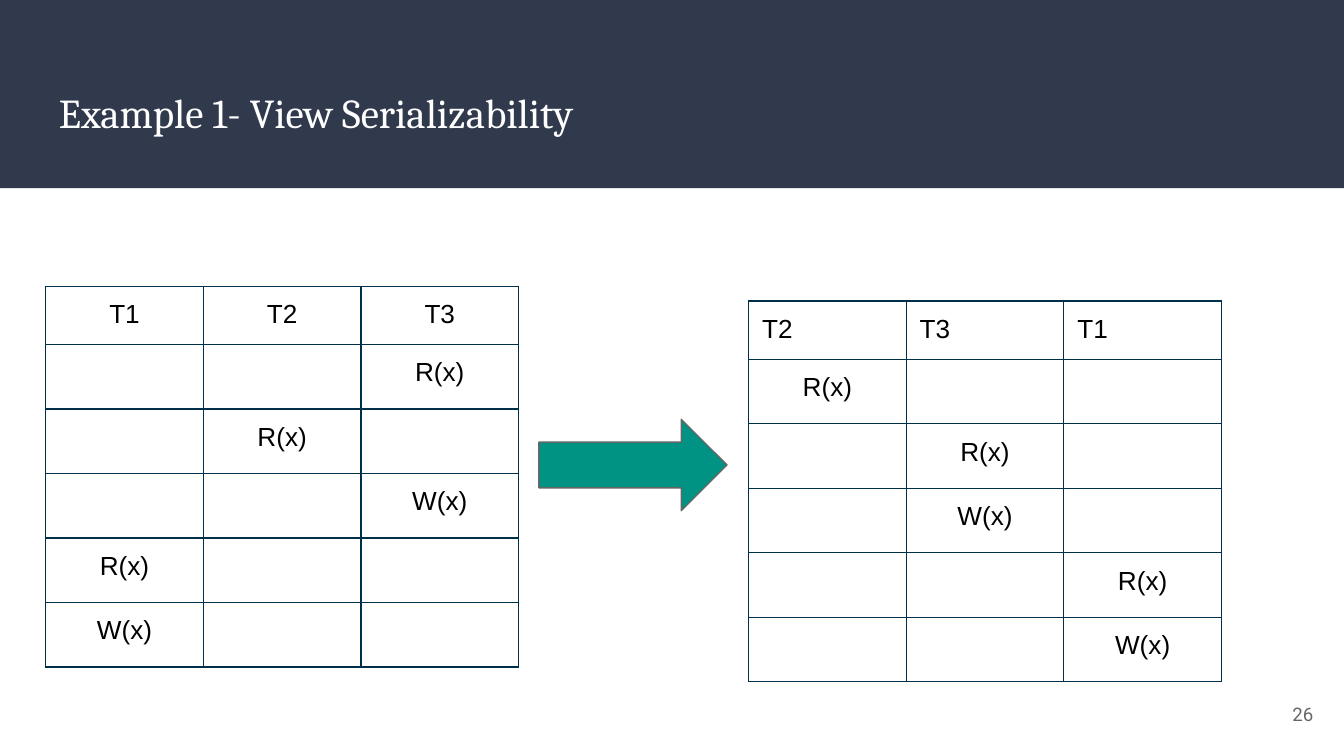
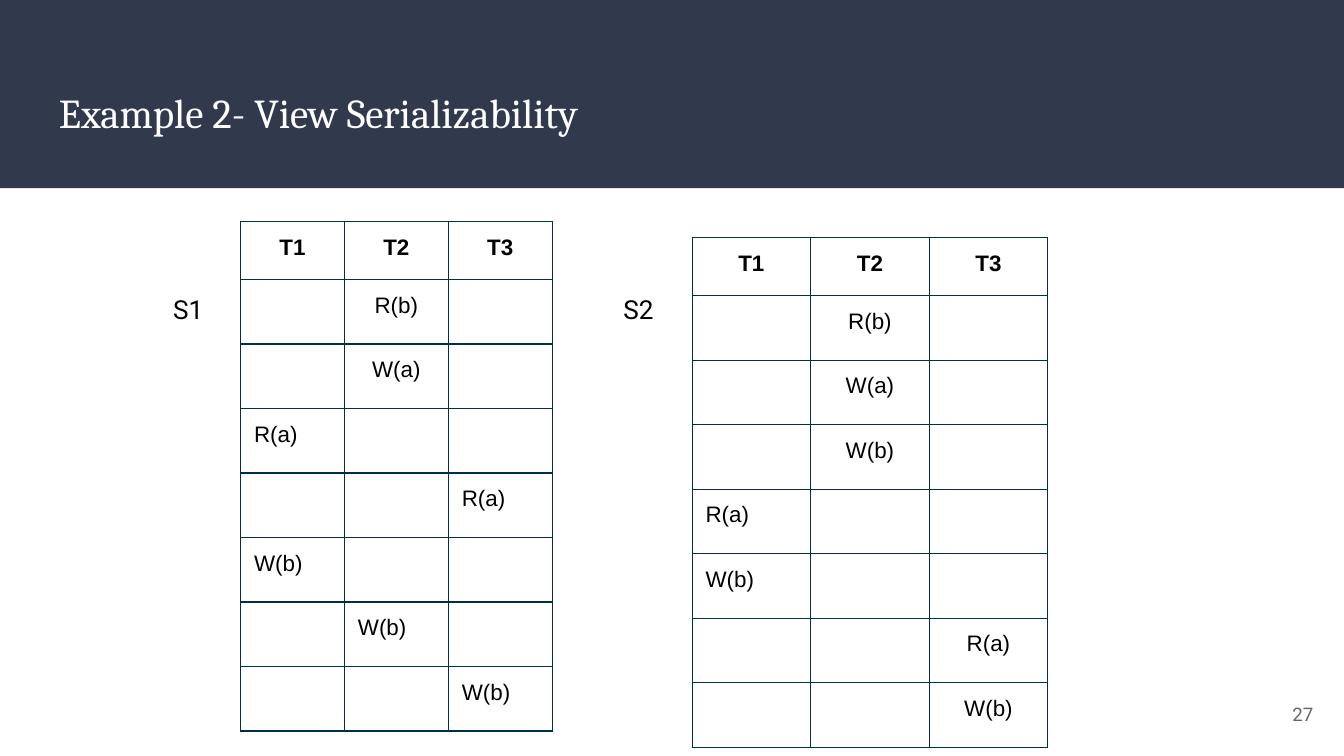
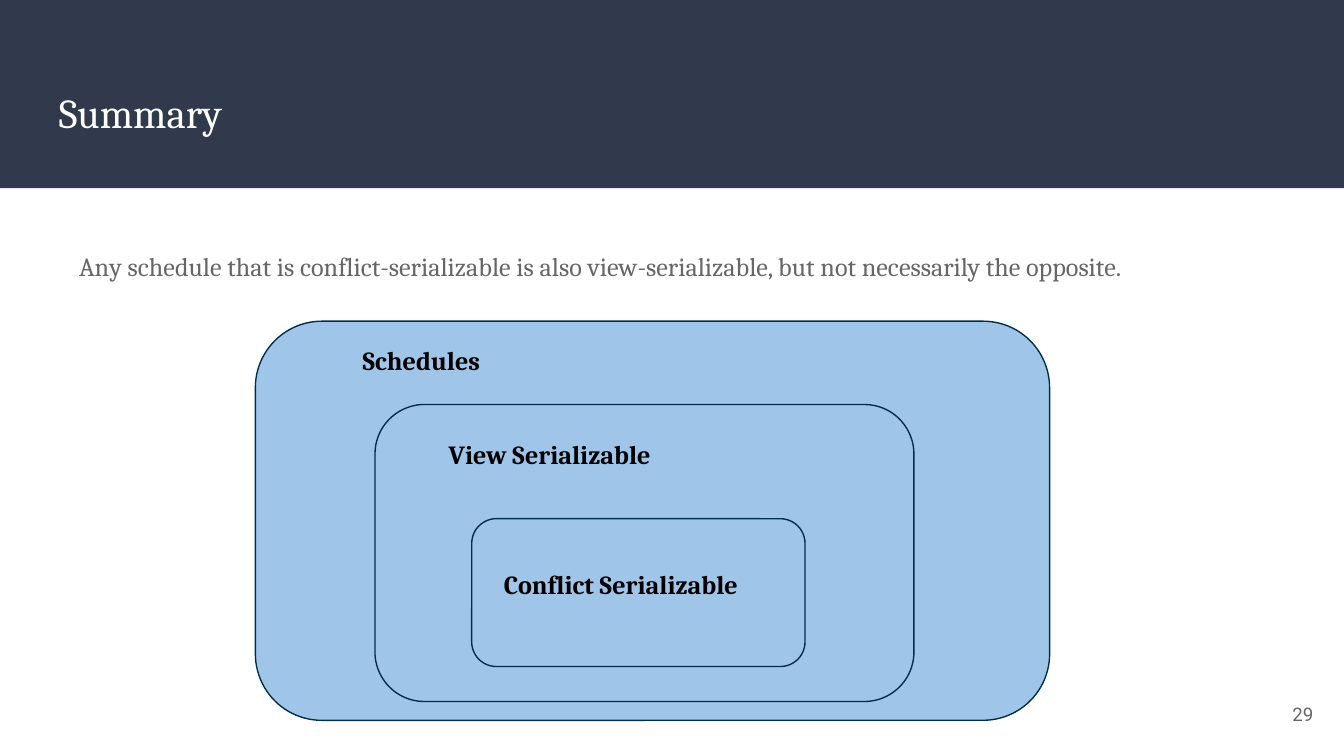
from lxml import etree
from pptx import Presentation
from pptx.dml.color import RGBColor
from pptx.enum.shapes import MSO_SHAPE
from pptx.enum.text import MSO_ANCHOR, PP_ALIGN
from pptx.oxml.ns import qn
from pptx.util import Inches, Pt

LEFT, CENTER, RIGHT = PP_ALIGN.LEFT, PP_ALIGN.CENTER, PP_ALIGN.RIGHT
TOP, MIDDLE = MSO_ANCHOR.TOP, MSO_ANCHOR.MIDDLE
RECTANGLE, ROUNDED, ARROW = (MSO_SHAPE.RECTANGLE, MSO_SHAPE.ROUNDED_RECTANGLE,
                             MSO_SHAPE.RIGHT_ARROW)

COLORS = {name: RGBColor.from_string(value) for name, value in {
    "band": "31394D", "white": "FFFFFF", "black": "000000", "gray": "666666",
    "navy": "002F4A", "teal": "009384", "sky": "9FC5E8"}.items()}

# The slide is a grid of 100 columns by 56.25 rows
GRID = Inches(0.1)
HEADER_ROW, BODY_ROW = 4.3, 4.8
LINE = Pt(0.75)


def add_text(page, area, text, size, font, color, bold=False, align=LEFT, anchor=TOP):
    box = page.shapes.add_textbox(*[int(GRID * part) for part in area])
    frame = box.text_frame
    frame.word_wrap = True
    frame.vertical_anchor = anchor
    frame.margin_left = frame.margin_right = GRID
    frame.margin_top = frame.margin_bottom = GRID
    para = frame.paragraphs[0]
    para.text = text
    para.alignment = align
    para.font.size, para.font.name, para.font.bold = Pt(size), font, bold
    para.font.color.rgb = COLORS[color]
    return para


def add_shape(page, kind, area, fill, line=None):
    shape = page.shapes.add_shape(kind, *[int(GRID * part) for part in area])
    shape.shadow.inherit = False
    shape.fill.solid()
    shape.fill.fore_color.rgb = COLORS[fill]
    if line:
        shape.line.color.rgb = COLORS[line]
        shape.line.width = LINE
    else:
        shape.line.fill.background()


deck = Presentation()
deck.slide_width, deck.slide_height = 100 * GRID, int(56.25 * GRID)

# Shared band, title and slide number
pages = []
for title, number in [("Example 1- View Serializability", "26"),
                      ("Example 2- View Serializability", "27"),
                      ("Summary", "29")]:
    page = deck.slides.add_slide(deck.slide_layouts[6])
    add_shape(page, RECTANGLE, (0, 0, 100, 14), "band")
    add_text(page, (3.4, 5.5, 93.2, 6.8), title, 22, "Cambria", "white")
    add_text(page, (92.7, 51, 6, 4.3), number, 10, "Roboto", "gray",
             align=RIGHT, anchor=MIDDLE)
    pages.append(page)
first, second, summary = pages

# Schedules: each row after the header holds one operation of one transaction
schedules = [
    (first, 3.4, 21.3, 11.73, 14, ["T1", "T2", "T3"], CENTER,
     [("T3", "R(x)", CENTER), ("T2", "R(x)", CENTER), ("T3", "W(x)", CENTER),
      ("T1", "R(x)", CENTER), ("T1", "W(x)", CENTER)]),
    (first, 55.7, 22.4, 11.73, 14, ["T2", "T3", "T1"], LEFT,
     [("T2", "R(x)", CENTER), ("T3", "R(x)", CENTER), ("T3", "W(x)", CENTER),
      ("T1", "R(x)", CENTER), ("T1", "W(x)", CENTER)]),
    (second, 17.9, 16.5, 7.73, 12, ["T1", "T2", "T3"], CENTER,
     [("T2", "R(b)", CENTER), ("T2", "W(a)", CENTER), ("T1", "R(a)", LEFT),
      ("T3", "R(a)", LEFT), ("T1", "W(b)", LEFT), ("T2", "W(b)", LEFT),
      ("T3", "W(b)", LEFT)]),
    (second, 51.5, 17.7, 8.82, 12, ["T1", "T2", "T3"], CENTER,
     [("T2", "R(b)", CENTER), ("T2", "W(a)", CENTER), ("T2", "W(b)", CENTER),
      ("T1", "R(a)", LEFT), ("T1", "W(b)", LEFT), ("T3", "R(a)", CENTER),
      ("T3", "W(b)", CENTER)]),
]
for page, left, top, column_width, size, names, header_align, steps in schedules:
    height = HEADER_ROW + BODY_ROW * len(steps)
    table = page.shapes.add_table(
        len(steps) + 1, len(names), int(GRID * left), int(GRID * top),
        int(GRID * column_width * len(names)), int(GRID * height)).table
    table.first_row = table.horz_banding = False
    for column in table.columns:
        column.width = int(GRID * column_width)
    for index, row in enumerate(table.rows):
        row.height = int(GRID * (BODY_ROW if index else HEADER_ROW))
        for name, cell in zip(names, row.cells):
            text, align = name, header_align
            if index:
                owner, operation, align = steps[index - 1]
                text = operation if owner == name else ""
            cell.fill.background()
            cell.margin_left = cell.margin_right = GRID
            cell.margin_top = cell.margin_bottom = GRID
            para = cell.text_frame.paragraphs[0]
            para.text = text
            para.alignment = align
            para.font.size, para.font.name = Pt(size), "Arial"
            para.font.bold = page is second and index == 0
            para.font.color.rgb = COLORS["black"]
            if not text:
                etree.SubElement(para._p, qn("a:endParaRPr"), sz=str(size * 100))
            # Cell borders come before the fill in the cell properties
            properties = cell._tc.get_or_add_tcPr()
            for position, side in enumerate(("a:lnL", "a:lnR", "a:lnT", "a:lnB")):
                border = etree.Element(qn(side), w=str(LINE))
                solid = etree.SubElement(border, qn("a:solidFill"))
                etree.SubElement(solid, qn("a:srgbClr"), val=str(COLORS["navy"]))
                properties.insert(position, border)

# Example 1: arrow between the schedules
add_shape(first, ARROW, (40.1, 31.2, 14, 6.8), "teal", "gray")

# Example 2: schedule labels
for label, left, width in [("S1", 11.9, 6), ("S2", 45.4, 5.2)]:
    add_text(second, (left, 20.8, width, 4.4), label, 14, "Roboto", "black")

# Summary: statement and nested classes
statement = add_text(
    summary, (4.9, 17.5, 91.4, 32.8),
    "Any schedule that is conflict-serializable is also view-serializable, "
    "but not necessarily the opposite.", 14, "Cambria", "gray")
statement.line_spacing = 1.05
for label, area, label_left, label_top in [
        ("Schedules", (19, 23.9, 59.1, 29.7), 26, 24.6),
        ("View Serializable", (27.9, 30.1, 40.1, 22.1), 32.4, 31.6),
        ("Conflict Serializable", (35.1, 38.6, 24.8, 11), 36.5, 41.3)]:
    add_shape(summary, ROUNDED, area, "sky", "navy")
    add_text(summary, (label_left, label_top, 22.1, 4.4), label, 14, "Cambria",
             "black", bold=True)

deck.save("out.pptx")
